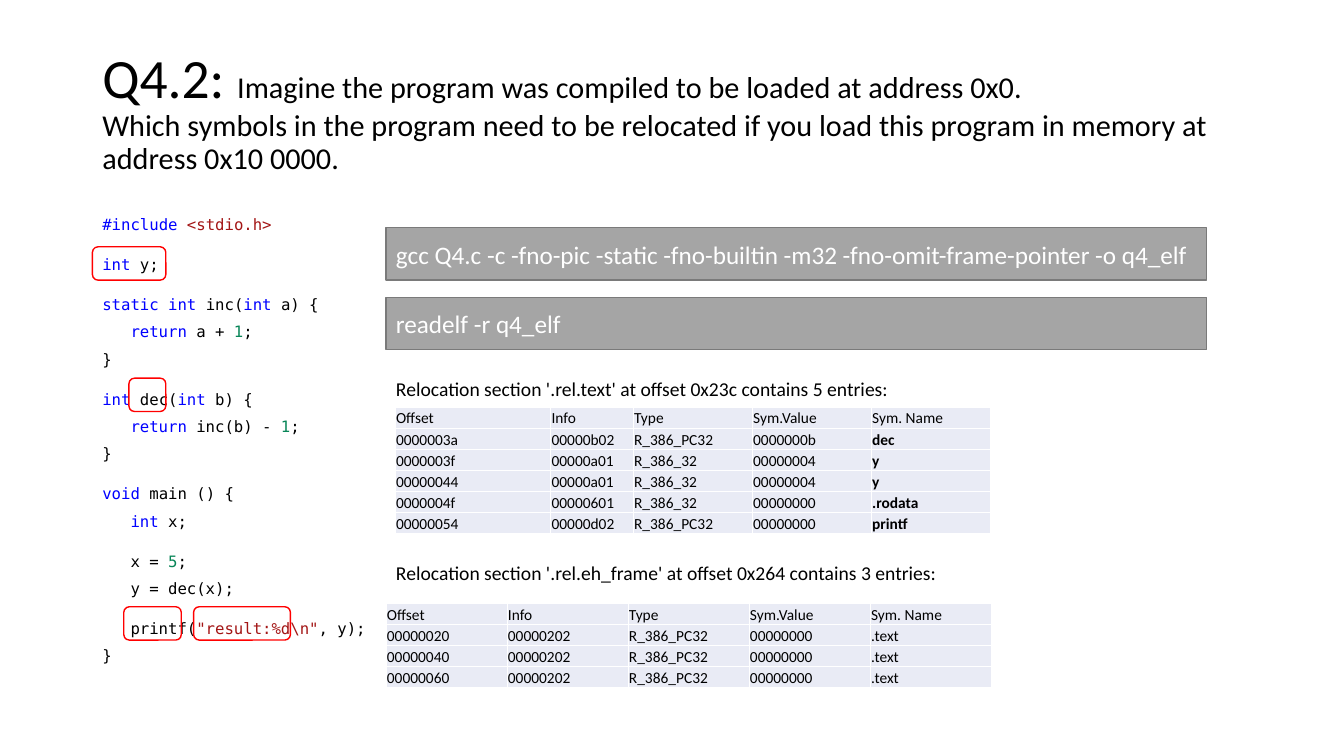
from lxml import etree
from pptx import Presentation
from pptx.dml.color import RGBColor
from pptx.enum.shapes import MSO_SHAPE
from pptx.enum.text import MSO_ANCHOR, PP_ALIGN
from pptx.oxml.ns import qn
from pptx.util import Cm, Pt

RECTANGLE = MSO_SHAPE.RECTANGLE
ROUNDED = MSO_SHAPE.ROUNDED_RECTANGLE
MIDDLE, BOTTOM = MSO_ANCHOR.MIDDLE, MSO_ANCHOR.BOTTOM
LEFT = PP_ALIGN.LEFT

COLORS = {
    "text": "000000",
    "white": "FFFFFF",
    "keyword": "0000FF",
    "string": "A31515",
    "number": "098658",
    "highlight": "FF0000",
    "bar": "A5A5A5",
    "bar_line": "7A7A7A",
    "cell": "E9EBF5",
}


def add_text(paragraph, text, size=14, color="text", font="Calibri", bold=False):
    run = paragraph.add_run()
    run.text = text
    run.font.size = Pt(size)
    run.font.name = font
    run.font.bold = bold
    run.font.color.rgb = RGBColor.from_string(COLORS[color])


def add_text_box(left, top, width, height):
    box = slide.shapes.add_textbox(Cm(left), Cm(top), Cm(width), Cm(height))
    box.text_frame.word_wrap = True
    return box.text_frame


presentation = Presentation()
presentation.slide_width = Cm(33.87)
presentation.slide_height = Cm(19.05)
slide = presentation.slides.add_slide(presentation.slide_layouts[6])

# Title
title = add_text_box(2.33, 1.02, 29.21, 3.68)
title.vertical_anchor = MIDDLE
question = title.paragraphs[0]
question.line_spacing = 0.9
add_text(question, "Q4.2: ", size=39.6)
add_text(question, "Imagine the program was compiled to be loaded at address 0x0.", size=21.6)
question = title.add_paragraph()
question.line_spacing = 0.9
add_text(question, "Which symbols in the program need to be relocated if you load "
         "this program in memory at address 0x10 0000.", size=21.6)

# Program listing: indent level, starts a block, coloured pieces
CODE = [
    (0, False, [("#include ", "keyword"), ("<stdio.h>", "string")]),
    (0, True, [("int", "keyword"), (" y;", "text")]),
    (0, True, [("static int ", "keyword"), ("inc(", "text"), ("int", "keyword"),
               (" a) {", "text")]),
    (1, False, [("return", "keyword"), (" a + ", "text"), ("1", "number"), (";", "text")]),
    (0, False, [("}", "text")]),
    (0, True, [("int", "keyword"), (" dec(", "text"), ("int", "keyword"), (" b) {", "text")]),
    (1, False, [("return ", "keyword"), ("inc(b) - ", "text"), ("1", "number"),
                (";", "text")]),
    (0, False, [("}", "text")]),
    (0, True, [("void", "keyword"), (" main () {", "text")]),
    (1, False, [("int", "keyword"), (" x;", "text")]),
    (1, True, [("x = ", "text"), ("5", "number"), (";", "text")]),
    (1, False, [("y = dec(x);", "text")]),
    (1, True, [("printf(", "text"), ('"result:%d\\n"', "string"), (", y);", "text")]),
    (0, False, [("}", "text")]),
]
listing = add_text_box(2.33, 5.08, 9.91, 12.09)
listing.margin_top = Cm(0.46)
for index, (level, starts_block, pieces) in enumerate(CODE):
    paragraph = listing.add_paragraph() if index else listing.paragraphs[0]
    paragraph.line_spacing = 0.7
    paragraph.space_before = Pt(19.3 if starts_block else 10)
    paragraph._p.get_or_add_pPr().set("marL", str(Cm(0.71 * level)))
    for text, color in pieces:
        add_text(paragraph, text, size=11.2, color=color, font="DejaVu Sans Mono")

# Red frames around the symbols
for left, top, width in [(2.33, 6.22, 1.85), (3.25, 9.53, 0.93),
                         (3.12, 15.29, 1.45), (4.88, 15.29, 2.44)]:
    frame = slide.shapes.add_shape(ROUNDED, Cm(left), Cm(top), Cm(width), Cm(0.84))
    frame.shadow.inherit = False
    frame.fill.background()
    frame.line.color.rgb = RGBColor.from_string(COLORS["highlight"])
    frame.line.width = Pt(1)

# Command bars
COMMANDS = [
    "gcc Q4.c -c -fno-pic -static -fno-builtin -m32 -fno-omit-frame-pointer -o q4_elf",
    "readelf -r q4_elf",
]
for index, command in enumerate(COMMANDS):
    bar = slide.shapes.add_shape(RECTANGLE, Cm(9.73), Cm(5.74 + 1.75 * index),
                                 Cm(20.68), Cm(1.32))
    bar.shadow.inherit = False
    bar.fill.solid()
    bar.fill.fore_color.rgb = RGBColor.from_string(COLORS["bar"])
    bar.line.color.rgb = RGBColor.from_string(COLORS["bar_line"])
    bar.line.width = Pt(1)
    bar.text_frame.word_wrap = True
    bar.text_frame.vertical_anchor = MIDDLE
    paragraph = bar.text_frame.paragraphs[0]
    paragraph.alignment = LEFT
    add_text(paragraph, command, size=18, color="white")

# Relocation sections: caption, caption top, table corner, columns, bold names, rows
HEADER = ["Offset", "Info", "Type", "Sym.Value", "Sym. Name"]
SECTIONS = [
    ("Relocation section '.rel.text' at offset 0x23c contains 5 entries:",
     9.37, (9.96, 10.26), [3.92, 2.08, 3, 3, 3], True, [
         ["0000003a", "00000b02", "R_386_PC32", "0000000b", "dec"],
         ["0000003f", "00000a01", "R_386_32", "00000004", "y"],
         ["00000044", "00000a01", "R_386_32", "00000004", "y"],
         ["0000004f", "00000601", "R_386_32", "00000000", ".rodata"],
         ["00000054", "00000d02", "R_386_PC32", "00000000", "printf"],
     ]),
    ("Relocation section '.rel.eh_frame' at offset 0x264 contains 3 entries:",
     14.02, (9.73, 15.21), [3.05] * 5, False, [
         [offset, "00000202", "R_386_PC32", "00000000", ".text"]
         for offset in ("00000020", "00000040", "00000060")
     ]),
]
ROW_HEIGHT = 0.53
for caption, caption_top, (left, top), widths, bold_names, entries in SECTIONS:
    add_text(add_text_box(9.73, caption_top, 20.24, 0.86).paragraphs[0], caption)

    rows = [HEADER] + entries
    table = slide.shapes.add_table(len(rows), len(widths), Cm(left), Cm(top),
                                   Cm(sum(widths)), Cm(ROW_HEIGHT * len(rows))).table
    table.first_row = False
    table.horz_banding = False
    for column, width in zip(table.columns, widths):
        column.width = Cm(width)
    for row_index, values in enumerate(rows):
        table.rows[row_index].height = Cm(ROW_HEIGHT)
        for column_index, value in enumerate(values):
            cell = table.cell(row_index, column_index)
            cell.margin_left = cell.margin_right = cell.margin_top = Cm(0.02)
            cell.margin_bottom = 0
            cell.vertical_anchor = BOTTOM
            # White borders go ahead of the fill
            properties = cell._tc.get_or_add_tcPr()
            for side in ("a:lnL", "a:lnR", "a:lnT", "a:lnB"):
                border = etree.SubElement(properties, qn(side), w=str(Pt(1)))
                border_fill = etree.SubElement(border, qn("a:solidFill"))
                etree.SubElement(border_fill, qn("a:srgbClr"), val=COLORS["white"])
            cell.fill.solid()
            cell.fill.fore_color.rgb = RGBColor.from_string(COLORS["cell"])
            is_name = row_index > 0 and column_index == len(HEADER) - 1
            add_text(cell.text_frame.paragraphs[0], value, size=11,
                     bold=bold_names and is_name)

presentation.save("out.pptx")
